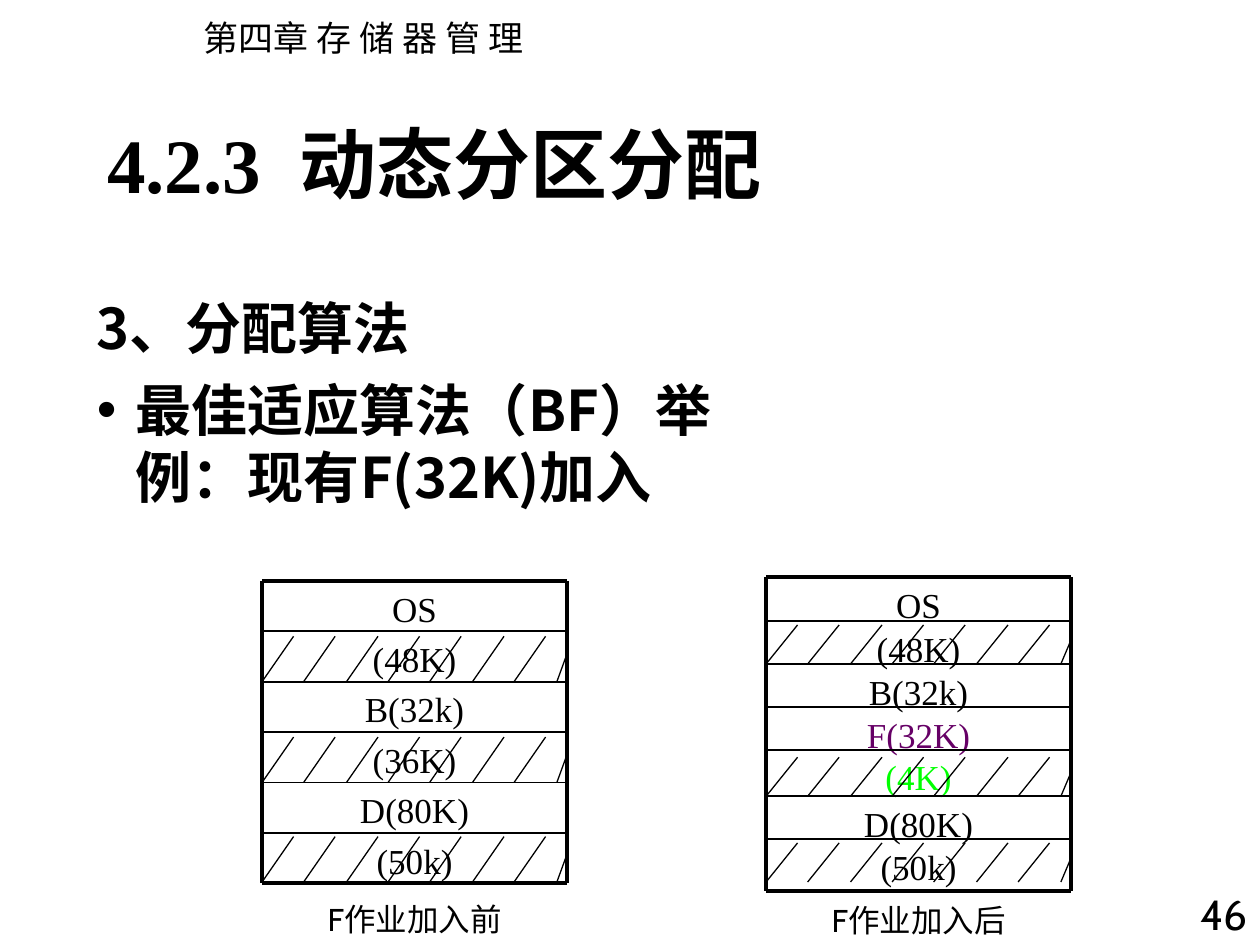
from lxml.etree import SubElement
from pptx import Presentation
from pptx.dml.color import RGBColor
from pptx.enum.shapes import MSO_CONNECTOR
from pptx.enum.text import MSO_ANCHOR, PP_ALIGN
from pptx.oxml.ns import qn
from pptx.util import Pt

PX = 9144  # 100 px to the inch
SANS, SERIF, CABIN = "Noto Sans CJK SC", "Times New Roman", "Cabin"
BLACK = "000000"


def write(para, text, size, font, color=BLACK, bold=False, align=PP_ALIGN.LEFT):
    para.alignment = align
    span = para.add_run()
    span.text = text
    span.font.size = Pt(size)
    span.font.bold = bold
    span.font.name = font
    span.font.color.rgb = RGBColor.from_string(color)
    east_asian = SubElement(span.font._element, qn("a:ea"))
    east_asian.set("typeface", SANS)


def draw_line(x1, y1, x2, y2, weight):
    line = page.shapes.add_connector(
        MSO_CONNECTOR.STRAIGHT, *(round(v) * PX for v in (x1, y1, x2, y2)))
    line.line.color.rgb = RGBColor.from_string(BLACK)
    line.line.width = Pt(weight)
    SubElement(line._element.spPr, qn("a:effectLst"))


deck = Presentation()
deck.slide_width, deck.slide_height = 1000 * PX, 750 * PX
page = deck.slides.add_slide(deck.slide_layouts[5])

# Title
title = page.shapes.title
title.left, title.top, title.width, title.height = (v * PX for v in (75, 67, 850, 125))
title.text_frame.vertical_anchor = MSO_ANCHOR.MIDDLE
write(title.text_frame.paragraphs[0], "4.2.3  动态分区分配", 44, SERIF, bold=True)

# Chapter header and page number
header = page.shapes.add_textbox(152 * PX, 8 * PX, 280 * PX, 44 * PX)
header.text_frame.word_wrap = False
write(header.text_frame.paragraphs[0], "第四章 存 储 器 管 理", 20, SANS)

number = page.shapes.add_textbox(933 * PX, 700 * PX, 67 * PX, 56 * PX)
number.text_frame.word_wrap = True
write(number.text_frame.paragraphs[0], "46", 24, CABIN, align=PP_ALIGN.RIGHT)

# Body text
body = page.shapes.add_textbox(67 * PX, 225 * PX, 526 * PX, 225 * PX)
body.text_frame.word_wrap = True
body.text_frame.margin_top = 8 * PX
heading = body.text_frame.paragraphs[0]
item = body.text_frame.add_paragraph()
item.space_before = Pt(8)
for para, text in ((heading, "3、分配算法"),
                   (item, "最佳适应算法（BF）举例：现有F(32K)加入")):
    para.line_spacing = Pt(38.5)
    properties = para._p.get_or_add_pPr()
    properties.set("marL", str(31 * PX))
    properties.set("indent", str(-31 * PX))
    write(para, text, 32, SANS, bold=True)
SubElement(item._p.pPr, qn("a:buFont")).set("typeface", "Arial")
SubElement(item._p.pPr, qn("a:buChar")).set("char", "•")

# Memory maps: left edge, row borders, row labels, hatch height, caption
WIDTH = 242
HATCH_END = 700
memory_maps = [
    (208, range(461, 702, 40),
     ["OS", "(48K)", "B(32k)", "(36K)", "D(80K)", "(50k)"],
     36, 709, "F作业加入前"),
    (608, [458, 493, 527, 561, 595, 632, 666, 707],
     ["OS", "(48K)", "B(32k)", "F(32K)", "(4K)", "D(80K)", "(50k)"],
     31, 710, "F作业加入后"),
]
label_colors = {"F(32K)": "660066", "(4K)": "00FF00"}

for left, borders, labels, hatch, caption_top, caption in memory_maps:
    right, first, last = left + WIDTH, borders[0], borders[-1]
    row_height = borders[1] - first

    for label, top, bottom in zip(labels, borders, borders[1:]):
        cell = page.shapes.add_textbox(left * PX, top * PX, WIDTH * PX, row_height * PX)
        cell.text_frame.word_wrap = True
        write(cell.text_frame.paragraphs[0], label, 20, SERIF,
              label_colors.get(label, BLACK), align=PP_ALIGN.CENTER)
        if label.startswith("("):  # free blocks are hatched
            foot = min(bottom, HATCH_END)
            for i in range(7):
                x = left + i * 100 / 3
                draw_line(x + 25, foot - hatch, x, foot, 0.75)
            draw_line(right, foot - 0.6 * hatch, right - 8, foot, 0.75)

    for y in borders:
        draw_line(left, y, right, y, 2.25 if y in (first, last) else 1)
    for x in (left, right):
        draw_line(x, first, x, last, 2.25)

    note = page.shapes.add_textbox(left * PX, caption_top * PX, WIDTH * PX, 40 * PX)
    note.text_frame.word_wrap = True
    write(note.text_frame.paragraphs[0], caption, 18, CABIN, align=PP_ALIGN.CENTER)

deck.save("out.pptx")
